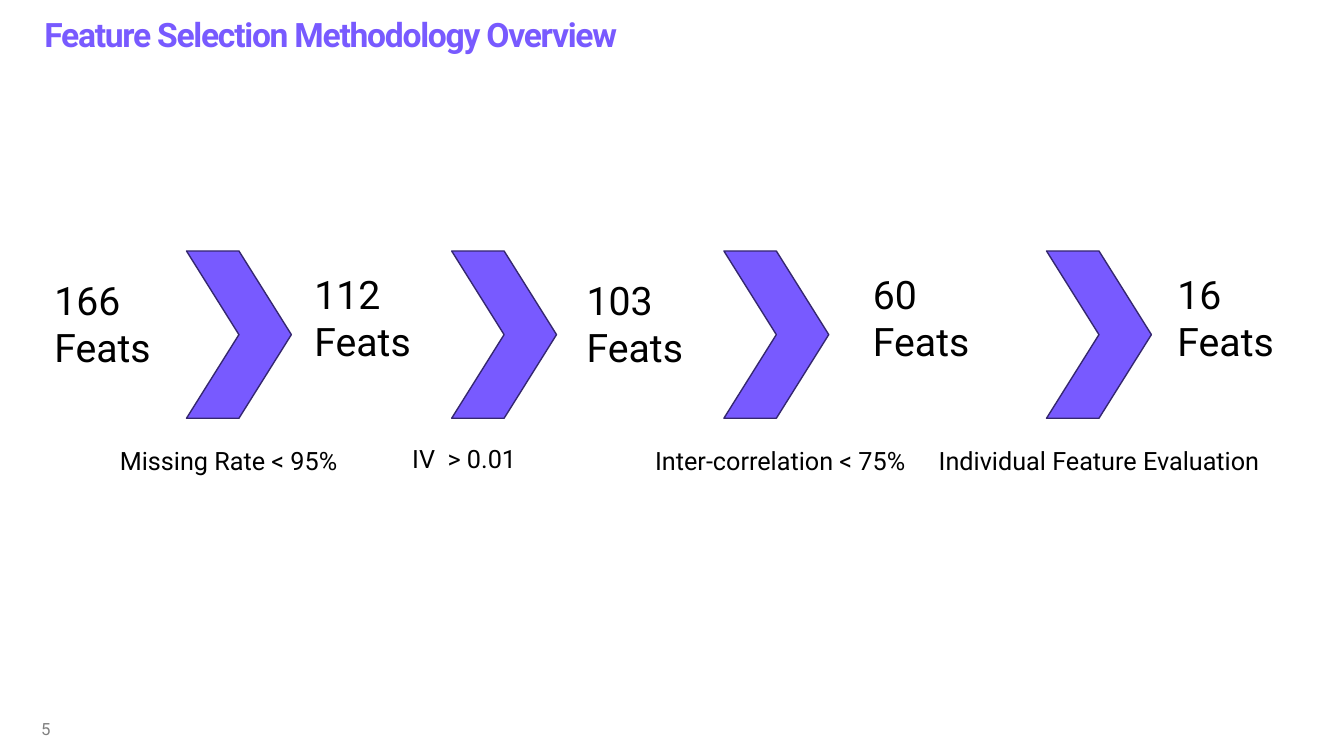
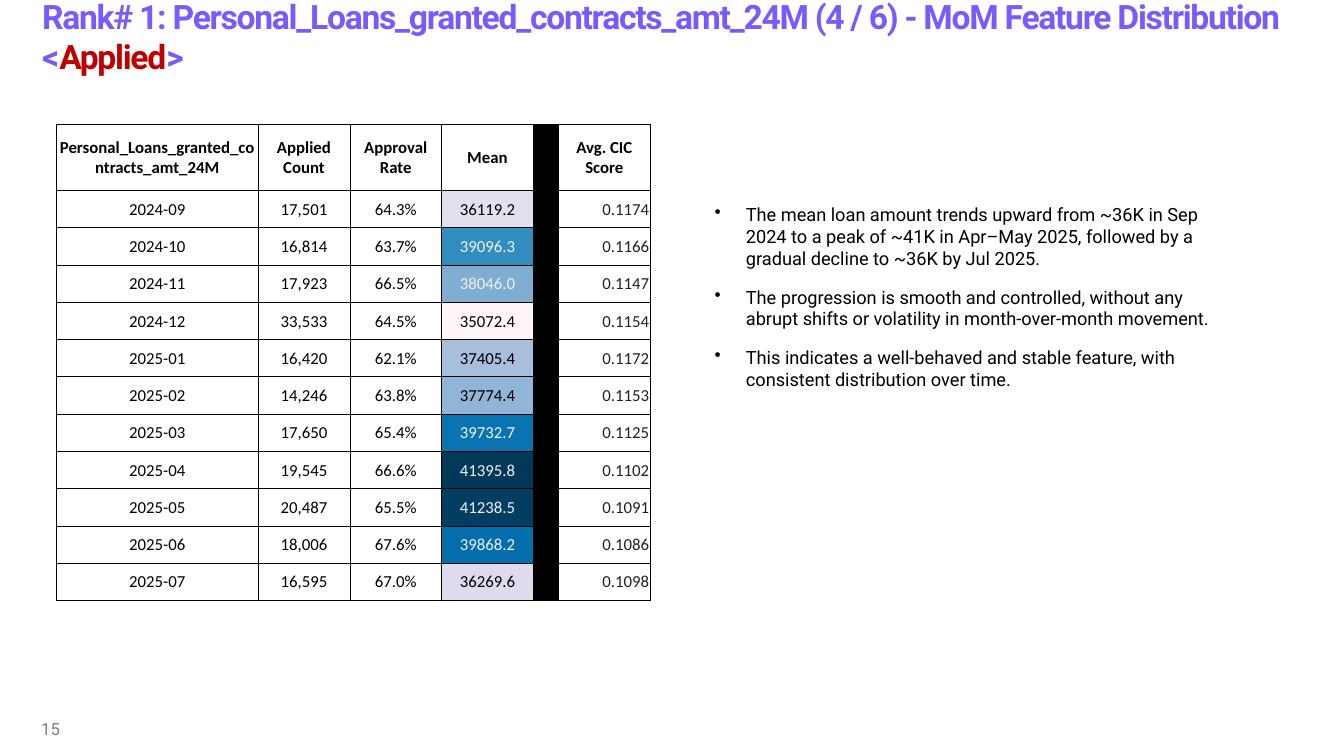
from lxml.etree import SubElement
from pptx import Presentation
from pptx.dml.color import RGBColor
from pptx.enum.shapes import MSO_SHAPE
from pptx.enum.text import MSO_ANCHOR, PP_ALIGN
from pptx.oxml import parse_xml
from pptx.oxml.ns import nsdecls, qn
from pptx.util import Pt

PX = 9144  # 100 px to the inch
BLACK = RGBColor(0x00, 0x00, 0x00)
WHITE = RGBColor(0xFF, 0xFF, 0xFF)
PURPLE = RGBColor(0x78, 0x5A, 0xFF)
OUTLINE = RGBColor(0x35, 0x27, 0x70)
RED = RGBColor(0xC0, 0x00, 0x00)
GREY = RGBColor(0x80, 0x80, 0x80)
INK = RGBColor(0x20, 0x21, 0x24)
PALE = RGBColor(0xF1, 0xF1, 0xF1)
BODY_FONT = "Roboto"
TABLE_FONT = "Calibri"

# Feature counts: left, top, count
COUNTS = [(44, 269, "166"), (302, 263, "112"), (572, 269, "103"),
          (856, 263, "60"), (1158, 263, "16")]
CHEVRON_LEFTS = [185, 448, 718, 1038]
# Filters: left, top, width, text, alignment
FILTERS = [
    (109, 437, 272, "Missing Rate < 95%", PP_ALIGN.LEFT),
    (399, 435, 291, "IV  > 0.01", PP_ALIGN.LEFT),
    (640, 437, 324, "Inter-correlation < 75%", PP_ALIGN.LEFT),
    (919, 437, 342, "Individual Feature Evaluation", PP_ALIGN.CENTER),
]

HEADERS = ["Personal_Loans_granted_contracts_amt_24M", "Applied Count",
           "Approval Rate", "Mean", "", "Avg. CIC Score"]
# Month, applied count, approval rate, mean, mean cell colour, score
MONTHS = [
    ("2024-09", "17,501", "64.3%", "36119.2", "E3E0EE", "0.1174"),
    ("2024-10", "16,814", "63.7%", "39096.3", "328DBF", "0.1166"),
    ("2024-11", "17,923", "66.5%", "38046.0", "80AED2", "0.1147"),
    ("2024-12", "33,533", "64.5%", "35072.4", "FFF7FB", "0.1154"),
    ("2025-01", "16,420", "62.1%", "37405.4", "A8BEDC", "0.1172"),
    ("2025-02", "14,246", "63.8%", "37774.4", "91B5D6", "0.1153"),
    ("2025-03", "17,650", "65.4%", "39732.7", "0A73B2", "0.1125"),
    ("2025-04", "19,545", "66.6%", "41395.8", "023858", "0.1102"),
    ("2025-05", "20,487", "65.5%", "41238.5", "023E62", "0.1091"),
    ("2025-06", "18,006", "67.6%", "39868.2", "056EAD", "0.1086"),
    ("2025-07", "16,595", "67.0%", "36269.6", "DEDCEC", "0.1098"),
]
PALE_TEXT_ABOVE = 38000
COLUMN_WIDTHS = [200, 91, 91, 91, 25, 91]
HEADER_HEIGHT, ROW_HEIGHT = 66, 37
MEAN_COLUMN, GAP_COLUMN, SCORE_COLUMN = 3, 4, 5

FINDINGS = [
    "The mean loan amount trends upward from ~36K in Sep 2024 to a peak of "
    "~41K in Apr–May 2025, followed by a gradual decline to ~36K by Jul 2025.",
    "The progression is smooth and controlled, without any abrupt shifts or "
    "volatility in month-over-month movement.",
    "This indicates a well-behaved and stable feature, with consistent "
    "distribution over time.",
]


def add_run(paragraph, text, size, color=BLACK, bold=False, font=BODY_FONT):
    run = paragraph.add_run()
    run.text = text
    run.font.name = font
    run.font.size = Pt(size)
    run.font.bold = bold
    run.font.color.rgb = color
    return run


def add_frame(slide, left, top, width, height, anchor=MSO_ANCHOR.TOP):
    """Add a wrapping text box and return its text frame."""
    box = slide.shapes.add_textbox(left * PX, top * PX, width * PX, height * PX)
    frame = box.text_frame
    frame.word_wrap = True
    frame.vertical_anchor = anchor
    return frame


def add_lines(frame, lines, size):
    """Write one paragraph for each line."""
    for index, line in enumerate(lines):
        paragraph = frame.add_paragraph() if index else frame.paragraphs[0]
        add_run(paragraph, line, size)


def add_title(frame, parts):
    for text, color in parts:
        run = add_run(frame.paragraphs[0], text, 24, color, bold=True)
        run.font._element.set("spc", "-90")


def add_page_number(slide, number):
    frame = add_frame(slide, 31, 703, 300, 40, MSO_ANCHOR.MIDDLE)
    add_run(frame.paragraphs[0], number, 12, GREY)


def add_bullet(paragraph):
    properties = paragraph._p.get_or_add_pPr()
    properties.set("marL", str(31 * PX))
    properties.set("indent", str(-31 * PX))
    SubElement(properties, qn("a:buChar"), char="•")
    paragraph.space_after = Pt(12)


def add_borders(cell):
    properties = cell._tc.get_or_add_tcPr()
    for index, side in enumerate("LRTB"):
        properties.insert(index, parse_xml(
            f'<a:ln{side} {nsdecls("a")} w="6350"><a:solidFill>'
            f'<a:srgbClr val="{BLACK}"/></a:solidFill></a:ln{side}>'))


def fill_cell(cell, text, fill=WHITE, color=BLACK, bold=False,
              alignment=PP_ALIGN.CENTER):
    cell.margin_left = cell.margin_right = cell.margin_top = PX
    cell.margin_bottom = 0
    cell.vertical_anchor = MSO_ANCHOR.MIDDLE
    cell.fill.solid()
    cell.fill.fore_color.rgb = fill
    add_borders(cell)
    if text:
        paragraph = cell.text_frame.paragraphs[0]
        paragraph.alignment = alignment
        add_run(paragraph, text, 12, color, bold, TABLE_FONT)


def add_month_table(slide):
    height = HEADER_HEIGHT + ROW_HEIGHT * len(MONTHS)
    table = slide.shapes.add_table(
        len(MONTHS) + 1, len(HEADERS), 56 * PX, 123 * PX,
        sum(COLUMN_WIDTHS) * PX, height * PX).table
    table.first_row = table.horz_banding = False
    for column, width in zip(table.columns, COLUMN_WIDTHS):
        column.width = width * PX
    for index, row in enumerate(table.rows):
        row.height = (ROW_HEIGHT if index else HEADER_HEIGHT) * PX

    for column, header in enumerate(HEADERS):
        fill = BLACK if column == GAP_COLUMN else WHITE
        fill_cell(table.cell(0, column), header, fill, bold=True)
    for row, (month, count, rate, mean, shade, score) in enumerate(MONTHS, 1):
        for column, text in enumerate((month, count, rate)):
            fill_cell(table.cell(row, column), text)
        mean_color = PALE if float(mean) > PALE_TEXT_ABOVE else BLACK
        fill_cell(table.cell(row, MEAN_COLUMN), mean,
                  RGBColor.from_string(shade), mean_color)
        fill_cell(table.cell(row, GAP_COLUMN), "", BLACK)
        fill_cell(table.cell(row, SCORE_COLUMN), score, color=INK,
                  alignment=PP_ALIGN.RIGHT)


def add_chevron(slide, left):
    chevron = slide.shapes.add_shape(
        MSO_SHAPE.CHEVRON, left * PX, 249 * PX, 104 * PX, 166 * PX)
    chevron.shadow.inherit = False
    chevron.fill.solid()
    chevron.fill.fore_color.rgb = PURPLE
    chevron.line.color.rgb = OUTLINE
    chevron.line.width = Pt(1)


def build_overview(slide):
    title = add_frame(slide, 44, 0, 1248, 92)
    title.margin_left = title.margin_right = 0
    title.margin_top = title.margin_bottom = 10 * PX
    title.paragraphs[0].line_spacing = 1.1
    add_title(title, [("Feature Selection Methodology Overview", PURPLE)])
    for left, top, width, text, alignment in FILTERS:
        frame = add_frame(slide, left, top, width, 40)
        frame.paragraphs[0].alignment = alignment
        add_lines(frame, [text], 18)
    for left in CHEVRON_LEFTS:
        add_chevron(slide, left)
    for left, top, count in COUNTS:
        add_lines(add_frame(slide, left, top, 159, 104), [count, "Feats"], 28)
    add_page_number(slide, "5")


def build_distribution(slide):
    title = add_frame(slide, 32, 0, 1292, 72, MSO_ANCHOR.MIDDLE)
    add_title(title, [
        ("Rank# 1: Personal_Loans_granted_contracts_amt_24M (4 / 6) - "
         "MoM Feature Distribution <", PURPLE),
        ("Applied", RED),
        (">", PURPLE),
    ])
    add_month_table(slide)
    findings = add_frame(slide, 699, 197, 517, 197)
    add_lines(findings, FINDINGS, 13)
    for paragraph in findings.paragraphs:
        add_bullet(paragraph)
    add_page_number(slide, "15")


def main():
    presentation = Presentation()
    presentation.slide_width = 1333 * PX
    presentation.slide_height = 750 * PX
    blank = presentation.slide_layouts[6]
    for build in (build_overview, build_distribution):
        build(presentation.slides.add_slide(blank))
    presentation.save("out.pptx")


if __name__ == "__main__":
    main()
